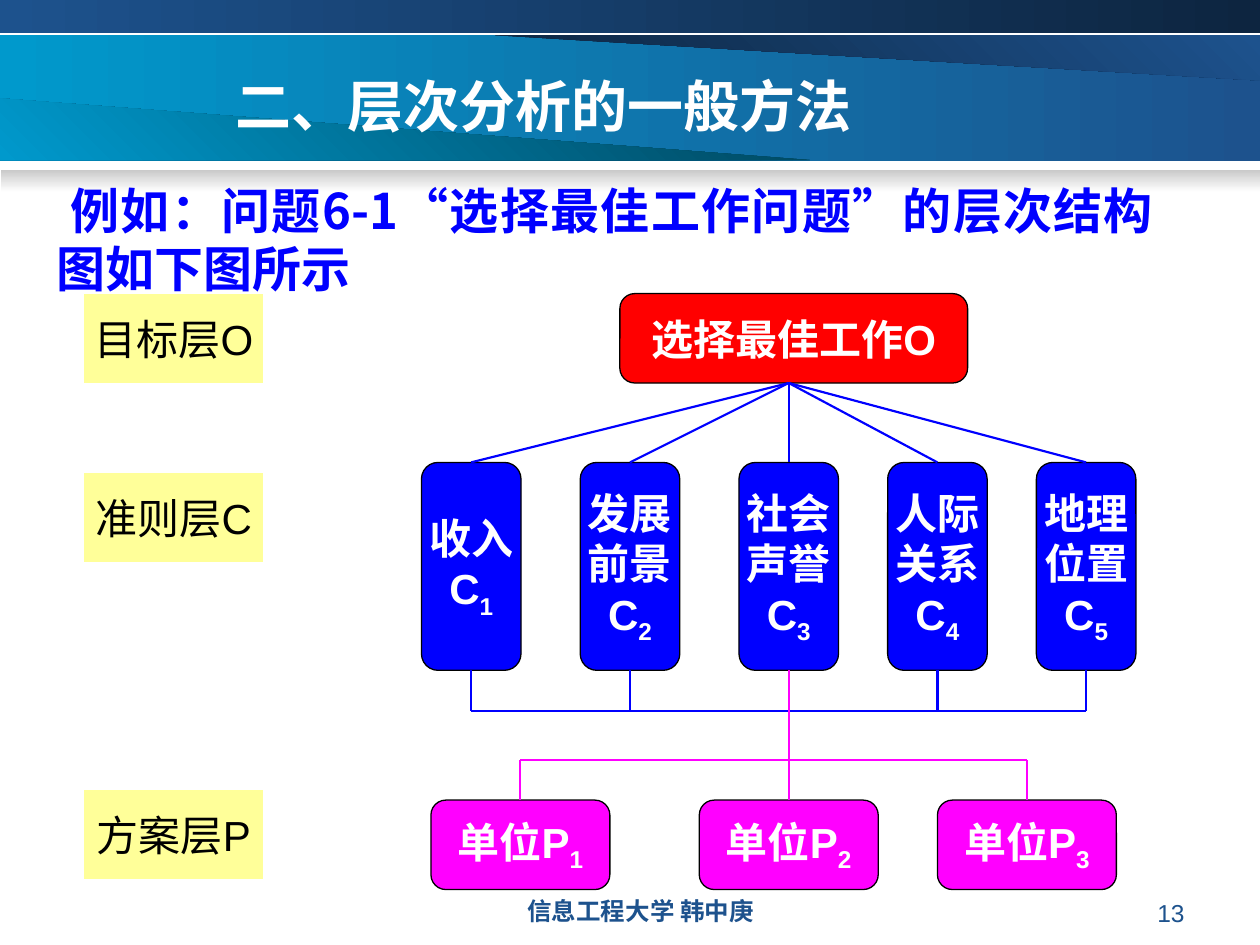
import pptx
import pptx.util
import pptx.dml.color
import pptx.enum.shapes
import pptx.enum.text
import pptx.oxml.ns
import lxml.etree

Inches = pptx.util.Inches
RGBColor = pptx.dml.color.RGBColor
SHAPE = pptx.enum.shapes.MSO_SHAPE
ALIGN = pptx.enum.text.PP_ALIGN
ANCHOR = pptx.enum.text.MSO_ANCHOR
qn = pptx.oxml.ns.qn

WHITE = RGBColor(0xFF, 0xFF, 0xFF)
BLACK = RGBColor(0, 0, 0)
NAVY = RGBColor(0x0D, 0x25, 0x40)
STEEL = RGBColor(0x1D, 0x52, 0x8D)
CYAN = RGBColor(0x00, 0x99, 0xCC)
TEAL = RGBColor(0x00, 0x46, 0x5E)
GREY = RGBColor(0xCA, 0xCA, 0xCA)
PALE = RGBColor(0xFE, 0xFE, 0xFE)
YELLOW = RGBColor(0xFF, 0xFF, 0x99)
RED = RGBColor(0xFF, 0, 0)
BLUE = RGBColor(0, 0, 0xFF)
MAGENTA = RGBColor(0xFF, 0, 0xFF)
CJK = "Noto Sans CJK SC"

prs = pptx.Presentation()
prs.slide_width, prs.slide_height = Inches(10), Inches(7.5)
slide = prs.slides.add_slide(prs.slide_layouts[6])
slide.background.fill.solid()
slide.background.fill.fore_color.rgb = WHITE
shapes = slide.shapes


def write(part, text, size=24, font="Arial", color=WHITE, bold=False,
          align=ALIGN.CENTER, anchor=ANCHOR.MIDDLE, wrap=False, subscript=""):
    """Fill a shape or text box; the subscript follows the last line."""
    frame = part.text_frame
    frame.word_wrap = wrap
    frame.vertical_anchor = anchor
    lines = text.split("\n")
    for i, line in enumerate(lines):
        paragraph = frame.paragraphs[0] if i == 0 else frame.add_paragraph()
        paragraph.alignment = align
        pieces = [(line, None)]
        if subscript and i == len(lines) - 1:
            pieces.append((subscript, "-25000"))
        for piece, baseline in pieces:
            run = paragraph.add_run()
            run.text = piece
            run.font.size = pptx.util.Pt(size)
            run.font.bold = bold
            run.font.color.rgb = color
            run.font.name = font
            props = run._r.get_or_add_rPr()
            lxml.etree.SubElement(props, qn("a:ea")).set("typeface", CJK)
            if baseline:
                props.set("baseline", baseline)


def join(start, end, color, above=None, below=None):
    """Draw a line, joined to the bottom of one box and the top of another."""
    link = shapes.add_connector(pptx.enum.shapes.MSO_CONNECTOR.STRAIGHT,
                                *map(Inches, start + end))
    link.line.color.rgb = color
    link.line.width = pptx.util.Pt(1.25)
    lxml.etree.SubElement(link._element.spPr, qn("a:effectLst"))
    if above is not None:
        link.begin_connect(above, 2)
    if below is not None:
        link.end_connect(below, 0)


# Banner: gradient bars and wedges (outline, first colour, last colour, angle)
for outline, first, last, angle in [
    ([(0, 0.28), (10, 0.28), (10, 1.28), (0, 1.28)], STEEL, CYAN, 180),
    ([(3.93, 0.28), (10, 0.64), (10, 0.28)], NAVY, STEEL, 45),
    ([(0, 0.78), (6.43, 1.27), (0, 1.27)], TEAL, CYAN, 225),
    ([(0, 0), (10, 0), (10, 0.26), (0, 0.26)], NAVY, STEEL, 180),
    ([(0.01, 1.35), (10, 1.35), (10, 1.52), (0.01, 1.52)], GREY, PALE, 270),
]:
    if len(outline) == 4:
        (left, top), (right, bottom) = outline[0], outline[2]
        band = shapes.add_shape(SHAPE.RECTANGLE, Inches(left), Inches(top),
                                Inches(right - left), Inches(bottom - top))
    else:
        points = [(Inches(x), Inches(y)) for x, y in outline]
        builder = shapes.build_freeform(*points[0])
        builder.add_line_segments(points[1:])
        band = builder.convert_to_shape()
    band.shadow.inherit = False
    band.line.fill.background()
    band.fill.gradient()
    band.fill.gradient_angle = angle
    for stop, color in zip(band.fill.gradient_stops, (first, last)):
        stop.color.rgb = color
    band.fill.gradient_stops[0].position = 0
    band.fill.gradient_stops[1].position = 1

# Title, introduction, footer and page number
for place, text, look in [
    ((1.77, 0.52, 5.2, 0.83), "二、层次分析的一般方法",
     dict(size=32, font=CJK, bold=True, align=ALIGN.LEFT)),
    ((0.35, 1.38, 8.9, 1.04),
     " 例如：问题6-1“选择最佳工作问题”的层次结构图如下图所示",
     dict(size=28, font=CJK, color=BLUE, bold=True, align=ALIGN.JUSTIFY)),
    ((3.5, 7.06, 3.17, 0.27), "信息工程大学 韩中庚",
     dict(size=14, color=STEEL, bold=True)),
    ((7.17, 7.08, 2.33, 0.27), "13",
     dict(size=14, color=STEEL, align=ALIGN.RIGHT)),
]:
    caption = shapes.add_textbox(*map(Inches, place))
    write(caption, text, anchor=ANCHOR.TOP, wrap=True, **look)

# Boxes: layer labels, goal, criteria and alternatives
ROW, UNIT_W = 0.71, 1.42
GOAL_Y, CRITERIA_Y, CRITERIA_W, CRITERIA_H, UNIT_Y = 2.33, 3.67, 0.79, 1.65, 6.35
AXIS = 6.26
criteria_x = [3.74, 5, AXIS, 7.44, 8.62]
unit_x = [4.13, AXIS, 8.15]

boxes = [((0.67, y, UNIT_W, ROW), text, "", YELLOW)
         for y, text in [(GOAL_Y, "目标层O"), (3.75, "准则层C"), (6.27, "方案层P")]]
boxes.append(((4.92, GOAL_Y, 2.76, ROW), "选择最佳工作O", "", RED))
names = ["收入", "发展\n前景", "社会\n声誉", "人际\n关系", "地理\n位置"]
for number, (x, name) in enumerate(zip(criteria_x, names), 1):
    boxes.append(((x - CRITERIA_W / 2, CRITERIA_Y, CRITERIA_W, CRITERIA_H),
                  name + "\nC", str(number), BLUE))
for number, x in enumerate(unit_x, 1):
    boxes.append(((x - UNIT_W / 2, UNIT_Y, UNIT_W, ROW), "单位P", str(number), MAGENTA))

criteria, units = [], []
for place, text, subscript, color in boxes:
    label = color == YELLOW
    kind = SHAPE.FLOWCHART_PROCESS if label else SHAPE.FLOWCHART_ALTERNATE_PROCESS
    box = shapes.add_shape(kind, *map(Inches, place))
    box.shadow.inherit = False
    box.fill.solid()
    box.fill.fore_color.rgb = color
    if label:
        box.line.fill.background()
    else:
        box.line.color.rgb = BLACK
        box.line.width = pptx.util.Pt(0.75)
    write(box, text, color=BLACK if label else WHITE, bold=not label,
          subscript=subscript)
    if color == BLUE:
        criteria.append(box)
    elif color == MAGENTA:
        units.append(box)

# Lines: goal to criteria, criteria to their rail, rail to alternatives
CRITERIA_RAIL, UNIT_RAIL = 5.64, 6.03
criteria_bottom = CRITERIA_Y + CRITERIA_H
join((criteria_x[0], CRITERIA_RAIL), (criteria_x[-1], CRITERIA_RAIL), BLUE)
join((unit_x[0], UNIT_RAIL), (unit_x[-1], UNIT_RAIL), MAGENTA)
join((AXIS, criteria_bottom), (AXIS, UNIT_Y), MAGENTA, criteria[2], units[1])
for x, criterion in zip(criteria_x, criteria):
    join((AXIS, GOAL_Y + ROW), (x, CRITERIA_Y), BLUE, below=criterion)
    if x != AXIS:
        join((x, criteria_bottom), (x, CRITERIA_RAIL), BLUE, above=criterion)
for x, unit in zip(unit_x, units):
    if x != AXIS:
        join((x, UNIT_RAIL), (x, UNIT_Y), MAGENTA, below=unit)

prs.save("out.pptx")
